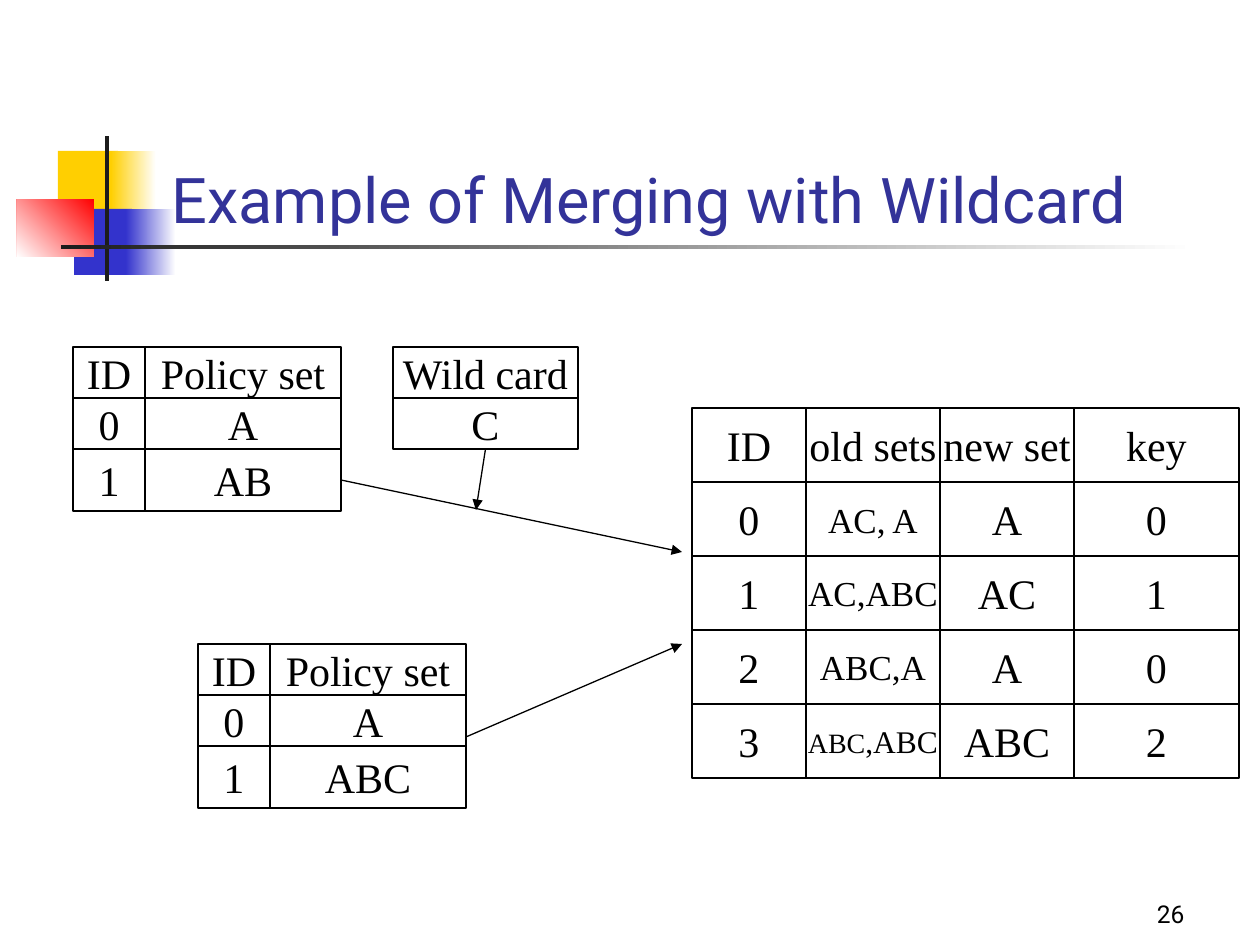
from dataclasses import dataclass
from itertools import accumulate

from lxml.etree import SubElement
from pptx import Presentation
from pptx.dml.color import RGBColor as Rgb
from pptx.enum.shapes import MSO_CONNECTOR as Connector, MSO_SHAPE as Preset
from pptx.enum.text import MSO_ANCHOR as Anchor, MSO_AUTO_SIZE as AutoSize, PP_ALIGN as Align
from pptx.oxml.ns import qn
from pptx.util import Emu, Pt

SCALE = 914400 / 126
RIGHT, BOTTOM = 3, 2


def px(length):
    return Emu(round(length * SCALE))


@dataclass(frozen=True)
class Theme:
    sans: str = "Roboto"
    serif: str = "Times New Roman"
    ink: str = "000000"
    paper: str = "FFFFFF"
    heading: str = "333399"
    yellow: str = "FFCF01"
    blue: str = "3333CC"
    red: str = "FF0000"
    bar: str = "1C1C1C"
    title_size: int = 36
    cell_size: int = 24
    set_size: int = 20
    long_set_sizes: tuple = (16, 18)
    number_size: int = 14
    stroke: float = 0.75


class Board:
    def __init__(self, theme, slide):
        self.theme = theme
        self.slide = slide

    def style(self, run, font, size, color):
        run.font.name = font
        run.font.size = Pt(size)
        run.font.color.rgb = Rgb.from_string(color)

    def label(self, frame, text, font, size, color, align, anchor):
        frame.text = text
        frame.vertical_anchor = anchor
        paragraph = frame.paragraphs[0]
        paragraph.alignment = align
        self.style(paragraph.runs[0], font, size, color)

    def title(self, text, *box):
        heading = self.slide.shapes.title
        heading.left, heading.top, heading.width, heading.height = map(px, box)
        frame = heading.text_frame
        frame.auto_size = AutoSize.NONE
        self.label(frame, text, self.theme.sans, self.theme.title_size,
                   self.theme.heading, Align.LEFT, Anchor.BOTTOM)

    def page_number(self, text, *box):
        frame = self.slide.shapes.add_textbox(*map(px, box)).text_frame
        frame.word_wrap = True
        self.label(frame, text, self.theme.sans, self.theme.number_size,
                   self.theme.ink, Align.RIGHT, Anchor.BOTTOM)

    def block(self, color, *box, fade=None):
        rect = self.slide.shapes.add_shape(Preset.RECTANGLE, *map(px, box))
        rect.shadow.inherit = False
        rect.line.fill.background()
        if fade is None:
            rect.fill.solid()
            rect.fill.fore_color.rgb = Rgb.from_string(color)
        else:
            rect.fill.gradient()
            rect.fill.gradient_angle = fade
            for stop, shade in zip(rect.fill.gradient_stops, (color, self.theme.paper)):
                stop.color.rgb = Rgb.from_string(shade)
        return rect

    def cell(self, text, size, *box):
        rect = self.block(self.theme.paper, *box)
        rect.line.color.rgb = Rgb.from_string(self.theme.ink)
        rect.line.width = Pt(self.theme.stroke)
        rect.text_frame.word_wrap = False
        self.label(rect.text_frame, text, self.theme.serif, size,
                   self.theme.ink, Align.CENTER, Anchor.MIDDLE)
        return rect

    def grid(self, left, top, widths, heights, rows, small_column=None):
        lefts = list(accumulate(widths, initial=left))
        tops = list(accumulate(heights, initial=top))
        cells = []
        for r, row in enumerate(rows):
            cells.append([])
            for c, text in enumerate(row):
                small = r > 0 and c == small_column
                size = self.theme.set_size if small else self.theme.cell_size
                cells[r].append(self.cell(text, size, lefts[c], tops[r], widths[c], heights[r]))
        return cells

    def arrow(self, x1, y1, x2, y2, source=None, side=None):
        link = self.slide.shapes.add_connector(Connector.STRAIGHT, *map(px, (x1, y1, x2, y2)))
        if source is not None:
            link.begin_connect(source, side)
        link.line.color.rgb = Rgb.from_string(self.theme.ink)
        link.line.width = Pt(self.theme.stroke)
        properties = link._element.spPr
        SubElement(properties.find(qn("a:ln")), qn("a:tailEnd"), type="triangle")
        SubElement(properties, qn("a:effectLst"))


def main():
    deck = Presentation()
    deck.slide_width, deck.slide_height = px(1260), px(945)
    theme = Theme()
    board = Board(theme, deck.slides.add_slide(deck.slide_layouts[5]))

    board.block(theme.yellow, 58, 151, 60, 66)
    board.block(theme.yellow, 111, 151, 45, 66, fade=0)
    board.block(theme.blue, 74, 209, 58, 66)
    board.block(theme.blue, 126, 209, 50, 66, fade=0)
    board.block(theme.red, 17, 199, 77, 58, fade=225)
    board.block(theme.bar, 105, 136, 4, 145)
    board.block(theme.bar, 61, 245, 1134, 4, fade=0)
    board.title("Example of Merging with Wildcard", 159, 84, 1074, 158)

    policy_widths, policy_heights = (72, 196), (51, 51, 62)
    header = ("ID", "Policy set")
    first_policy = board.grid(73, 347, policy_widths, policy_heights,
                              (header, ("0", "A"), ("1", "AB")))
    board.grid(198, 644, policy_widths, policy_heights,
               (header, ("0", "A"), ("1", "ABC")))
    wild_card = board.grid(393, 347, (185,), policy_heights[:2], (("Wild card",), ("C",)))
    merged = board.grid(692, 408, (114, 134, 134, 165), (74,) * 5, (
        ("ID", "old sets", "new set", "key"),
        ("0", "AC, A", "A", "0"),
        ("1", "AC,ABC", "AC", "1"),
        ("2", "ABC,A", "A", "0"),
        ("3", "ABC", "ABC", "2"),
    ), small_column=1)

    first_size, second_size = theme.long_set_sizes
    last_old_sets = merged[4][1].text_frame.paragraphs[0]
    last_old_sets.runs[0].font.size = Pt(first_size)
    second_set = last_old_sets.add_run()
    second_set.text = ",ABC"
    board.style(second_set, theme.serif, second_size, theme.ink)

    board.arrow(341, 480, 682, 552, first_policy[2][1], RIGHT)
    board.arrow(466, 737, 682, 644)
    board.arrow(486, 449, 476, 510, wild_card[1][0], BOTTOM)
    board.page_number("26", 935, 872, 262, 63)

    deck.save("out.pptx")


if __name__ == "__main__":
    main()
